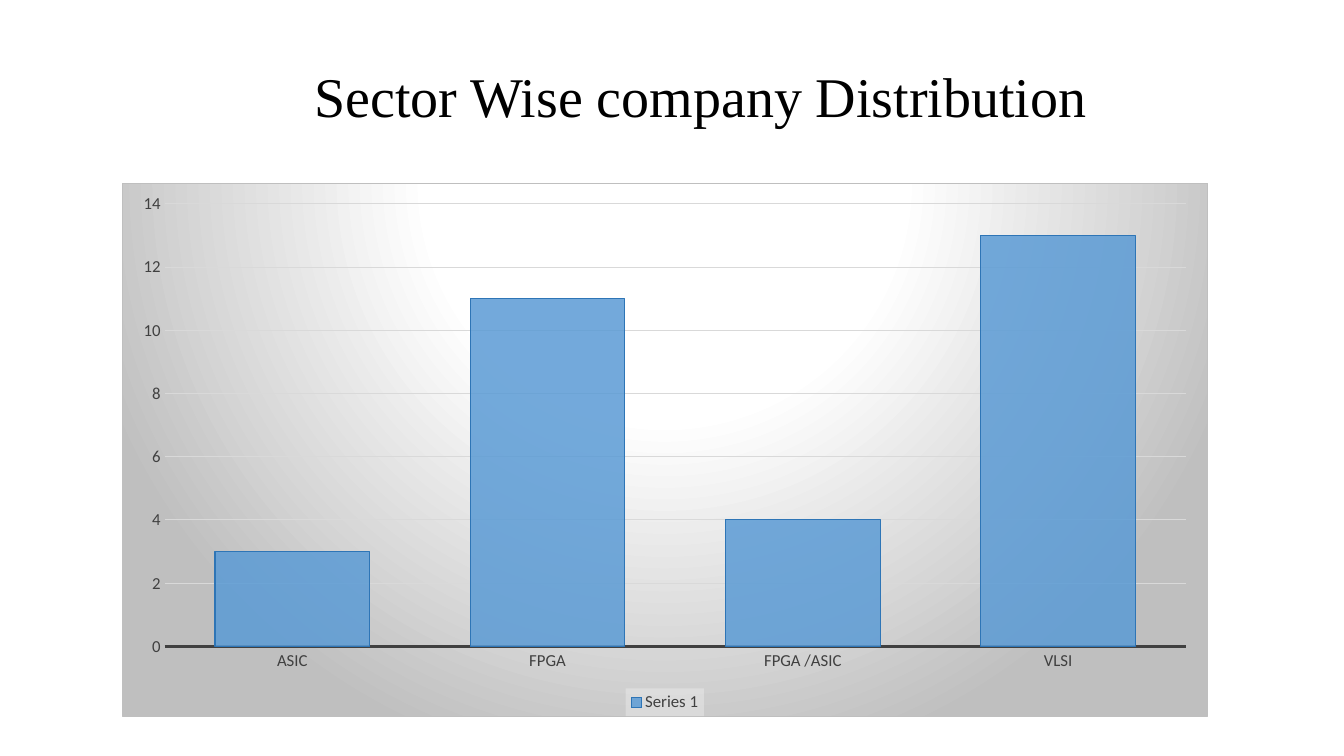
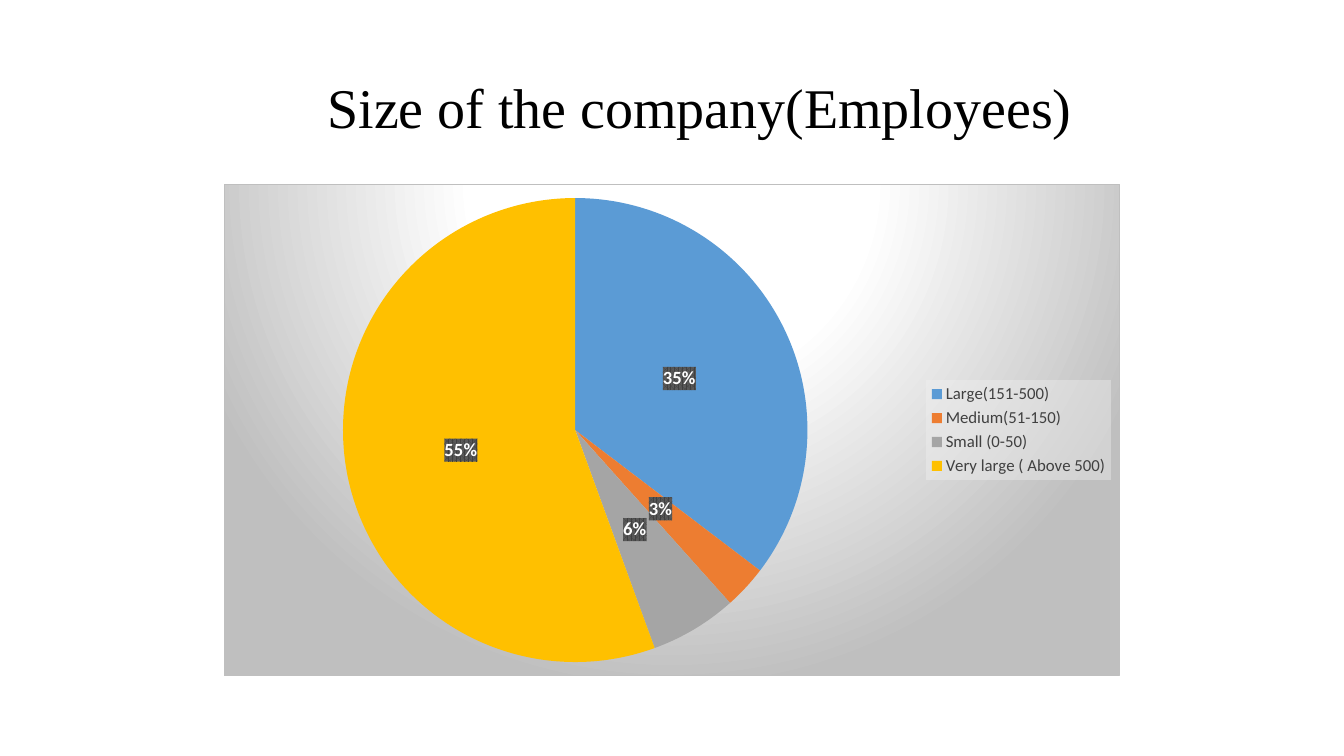
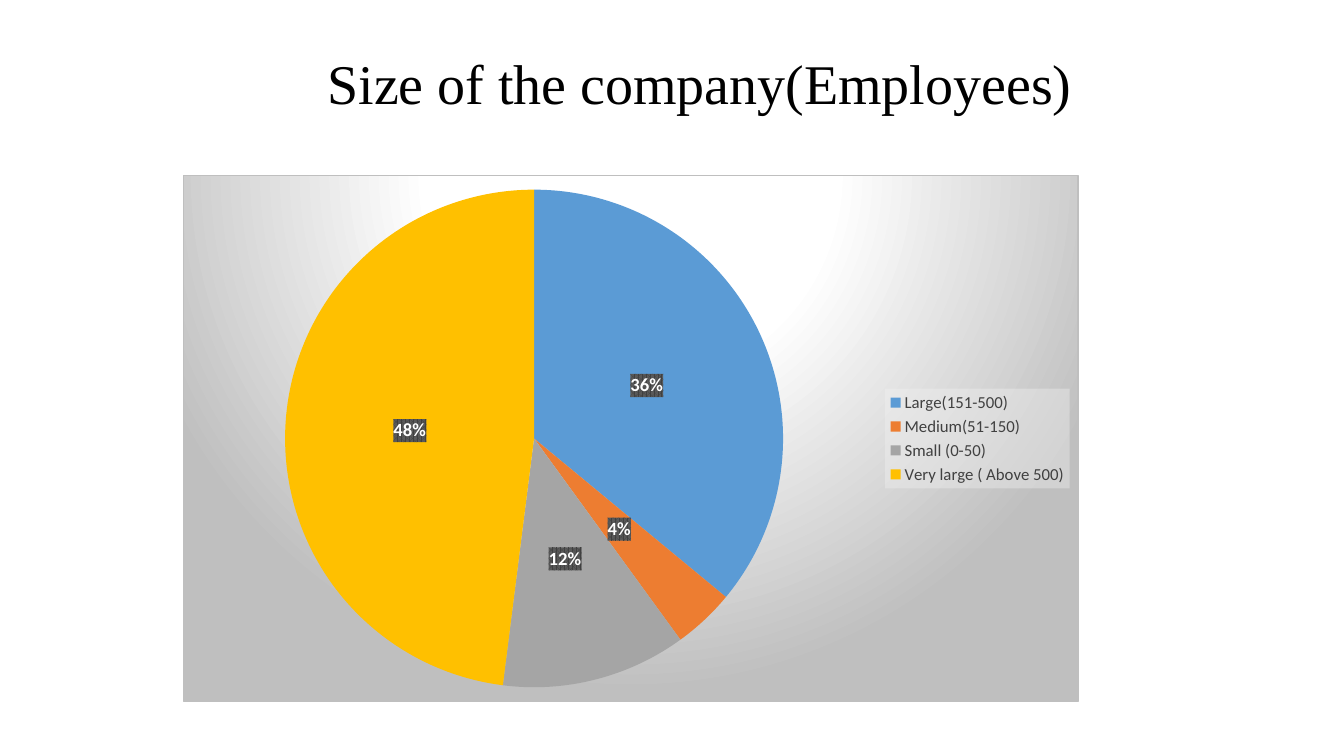
from lxml.etree import SubElement
from pptx import Presentation
from pptx.chart.data import CategoryChartData as Data
from pptx.dml.color import RGBColor
from pptx.enum.chart import XL_CHART_TYPE as Kind
from pptx.enum.chart import XL_LABEL_POSITION as Spot
from pptx.enum.chart import XL_LEGEND_POSITION as Side
from pptx.enum.chart import XL_TICK_MARK as Tick
from pptx.enum.text import MSO_ANCHOR as Anchor
from pptx.enum.text import MSO_AUTO_SIZE as Fit
from pptx.enum.text import PP_ALIGN as Align
from pptx.oxml import parse_xml
from pptx.oxml.ns import nsdecls, qn
from pptx.util import Pt

BLACK = RGBColor(0x00, 0x00, 0x00)
WHITE = RGBColor(0xFF, 0xFF, 0xFF)
DARK = RGBColor(0x40, 0x40, 0x40)
SLATE = RGBColor(0x59, 0x59, 0x59)
SILVER = RGBColor(0xBF, 0xBF, 0xBF)
PALE = RGBColor(0xD9, 0xD9, 0xD9)
MIST = RGBColor(0xF2, 0xF2, 0xF2)
BLUE = RGBColor(0x5B, 0x9B, 0xD5)
NAVY = RGBColor(0x2E, 0x75, 0xB6)
ORANGE = RGBColor(0xED, 0x7D, 0x31)
GREY = RGBColor(0xA5, 0xA5, 0xA5)
GOLD = RGBColor(0xFF, 0xC0, 0x00)
SLICES = [BLUE, ORANGE, GREY, GOLD]

SERIF = "Times New Roman"
SANS = "Calibri"
HEAD = "Size of the company(Employees)"
FIELDS = ["ASIC", "FPGA", "FPGA /ASIC", "VLSI"]
SIZES = ["Large(151-500)", "Medium(51-150)", "Small (0-50)", "Very large ( Above 500)"]

GLOW = f"""<a:gradFill><a:gsLst>
<a:gs pos="0"><a:srgbClr val="{WHITE}"/></a:gs>
<a:gs pos="39000"><a:srgbClr val="{WHITE}"/></a:gs>
<a:gs pos="100000"><a:srgbClr val="{SILVER}"/></a:gs></a:gsLst>
<a:path path="circle"><a:fillToRect l="50000" t="-80000" r="50000" b="180000"/></a:path>
</a:gradFill><a:ln w="9525"><a:solidFill><a:srgbClr val="{SILVER}"/></a:solidFill></a:ln>"""
VEIL = f"""<a:solidFill><a:srgbClr val="{MIST}"><a:alpha val="39000"/></a:srgbClr></a:solidFill>"""
HATCH = f"""<a:pattFill prst="pct75"><a:fgClr><a:srgbClr val="{DARK}"/></a:fgClr>
<a:bgClr><a:srgbClr val="{SLATE}"/></a:bgClr></a:pattFill>"""


def style(font, size, color, face=SANS):
    font.size = Pt(size)
    font.name = face
    font.color.rgb = color


def paint(owner, fill):
    part = parse_xml(f"<c:spPr {nsdecls('c', 'a')}>{fill}</c:spPr>")
    owner.find(qn("c:txPr")).addprevious(part)


def add_title(slide, text, box):
    title = slide.shapes.title
    title.left, title.top, title.width, title.height = map(Pt, box)
    frame = title.text_frame
    frame.word_wrap = True
    frame.auto_size = Fit.NONE
    frame.vertical_anchor = Anchor.MIDDLE
    para = frame.paragraphs[0]
    para.alignment = Align.CENTER
    para.line_spacing = 0.9
    run = para.add_run()
    run.text = text
    style(run.font, 40, BLACK, SERIF)


def add_graph(slide, kind, names, vals, box, side):
    data = Data()
    data.categories = names
    data.add_series("Series 1", vals)
    chart = slide.shapes.add_chart(kind, *map(Pt, box), data).chart
    chart.has_title = False
    style(chart.font, 10, BLACK)
    paint(chart.element, GLOW)
    chart.has_legend = True
    legend = chart.legend
    legend.position = side
    legend.include_in_layout = False
    style(legend.font, 12, DARK)
    paint(chart.element.find(".//" + qn("c:legend")), VEIL)
    return chart


def add_bars(slide, names, vals, box):
    chart = add_graph(slide, Kind.COLUMN_CLUSTERED, names, vals, box, Side.BOTTOM)
    plot = chart.plots[0]
    plot.gap_width = 65
    plot.vary_by_categories = False
    bars = plot.series[0].format
    bars.fill.solid()
    bars.fill.fore_color.rgb = BLUE
    bars.line.color.rgb = NAVY
    bars.line.width = Pt(0.75)
    tint = chart.element.find(".//" + qn("c:ser")).find(".//" + qn("a:srgbClr"))
    SubElement(tint, qn("a:alpha")).set("val", "85000")
    for axis in (chart.category_axis, chart.value_axis):
        axis.major_tick_mark = axis.minor_tick_mark = Tick.NONE
        style(axis.tick_labels.font, 12, DARK)
    base = chart.category_axis.format.line
    base.color.rgb = DARK
    base.width = Pt(1.5)
    scale = chart.value_axis
    scale.minimum_scale, scale.maximum_scale, scale.major_unit = 0, 14, 2
    scale.format.line.fill.background()
    grid = scale.major_gridlines.format.line
    grid.color.rgb = PALE
    grid.width = Pt(0.75)


def add_pie(slide, names, vals, box):
    chart = add_graph(slide, Kind.PIE, names, vals, box, Side.RIGHT)
    plot = chart.plots[0]
    plot.vary_by_categories = True
    for i, color in enumerate(SLICES):
        slice = plot.series[0].points[i].format
        slice.fill.solid()
        slice.fill.fore_color.rgb = color
        slice.line.fill.background()
    plot.has_data_labels = True
    labels = plot.data_labels
    labels.show_value = True
    labels.show_percentage = False
    labels.number_format = '0"%"'
    labels.number_format_is_linked = False
    labels.position = Spot.CENTER
    style(labels.font, 13.3, WHITE)
    labels.font.bold = True
    paint(chart.element.find(".//" + qn("c:dLbls")), HATCH)


def main():
    deck = Presentation()
    deck.slide_width, deck.slide_height = Pt(960), Pt(540)
    pages = [
        ("Sector Wise company Distribution", (86.4, 37.4, 828, 67.7),
         add_bars, FIELDS, [3, 11, 4, 13], (86.8, 130.5, 776, 381.5)),
        (HEAD, (85.7, 26.6, 828, 104.4),
         add_pie, SIZES, [35, 3, 6, 55], (159.8, 131.2, 640, 352)),
        (HEAD, (85.7, 26.6, 828, 70.6),
         add_pie, SIZES, [36, 4, 12, 48], (130.4, 125.2, 640, 376)),
    ]
    for text, top, draw, names, vals, box in pages:
        slide = deck.slides.add_slide(deck.slide_layouts[5])
        add_title(slide, text, top)
        draw(slide, names, vals, box)
    deck.save("out.pptx")


if __name__ == "__main__":
    main()
